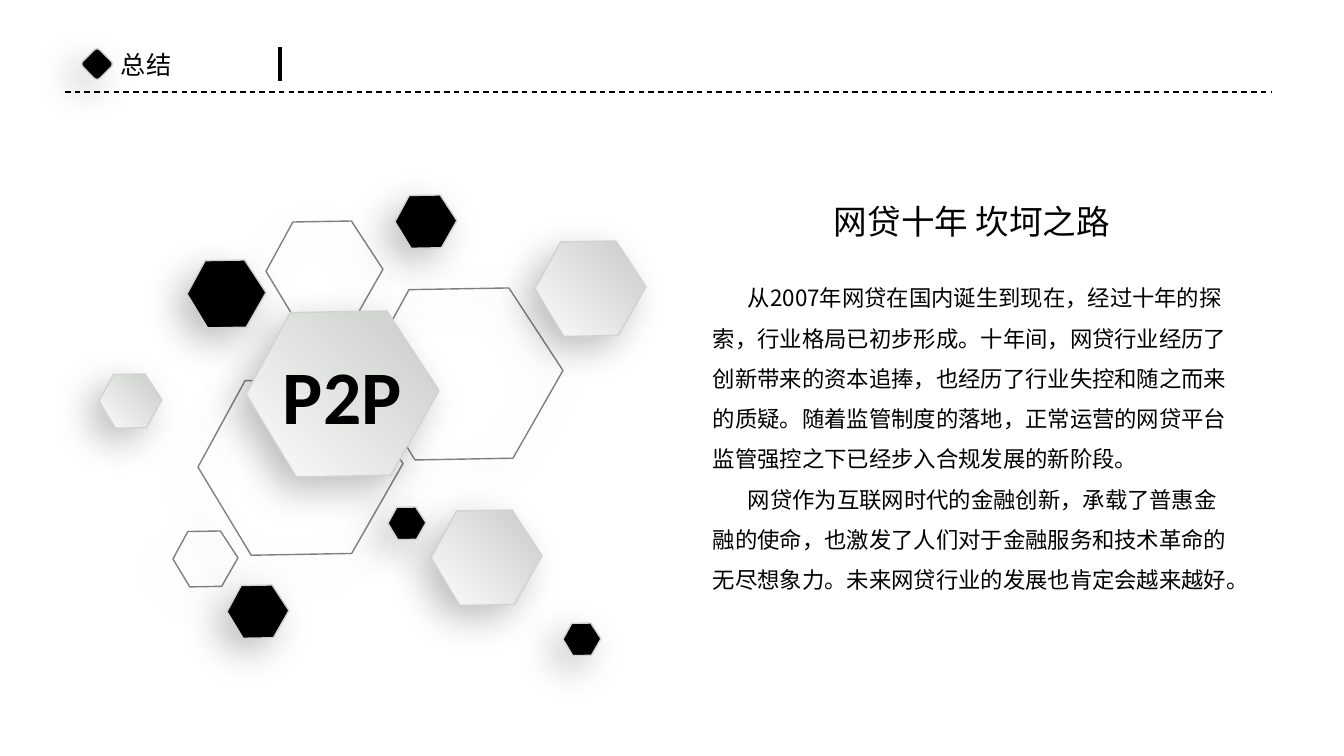
"""Build a summary slide: a hexagon cluster beside a text on ten years of online lending."""
import dataclasses

import pptx
import pptx.dml.color
import pptx.enum.dml
import pptx.enum.shapes
import pptx.enum.text
import pptx.oxml
import pptx.oxml.ns
import pptx.util

SECTION = "总结"
HEADLINE = "网贷十年 坎坷之路"
STORY = [
    "从2007年网贷在国内诞生到现在，经过十年的探索，行业格局已初步形成。十年间，网贷行业经历了创新带来的资本追捧，"
    "也经历了行业失控和随之而来的质疑。随着监管制度的落地，正常运营的网贷平台监管强控之下已经步入合规发展的新阶段。",
    "网贷作为互联网时代的金融创新，承载了普惠金融的使命，也激发了人们对于金融服务和技术革命的无尽想象力。"
    "未来网贷行业的发展也肯定会越来越好。",
]
CORE_WORD = "P2P"

HEXAGONS = {
    "outline": [(266, 221, 117), (198, 379, 205), (363, 288, 200), (173, 531, 65)],
    "silver": [(246, 311, 193), (431, 510, 111), (535, 241, 111), (99, 374, 63)],
    "black": [(187, 260, 79), (395, 195, 62), (388, 507, 38), (563, 623, 38), (227, 585, 62)],
}
HEXAGON_RATIO = 0.86
HEXAGON_CORNERS = [(0.73, 0), (1, 0.48), (0.75, 0.99), (0.26, 1), (0, 0.5), (0.23, 0.01)]


@dataclasses.dataclass(frozen=True)
class Theme:
    ink: str = "000000"
    edge: str = "CFD4D0"
    outline: str = "808080"
    silver_dark: str = "C9CBC8"
    silver_light: str = "FCFCFC"
    font: str = "Noto Sans CJK SC"
    core_font: str = "Calibri"
    section_size: int = 18
    headline_size: int = 24
    story_size: int = 16
    core_size: int = 54


THEME = Theme()
EMU_PER_PX = 914400 / 100.8


def px(length):
    return pptx.util.Emu(round(length * EMU_PER_PX))


def rgb(value):
    return pptx.dml.color.RGBColor.from_string(value)


def place(shape, left, top, width, height):
    shape.left, shape.top, shape.width, shape.height = map(px, (left, top, width, height))
    return shape


def write(shape, text, *, size, font=THEME.font, bold=False, align="LEFT", spacing=1,
          indent=0, inset=(0, 0), wrap=True):
    frame = shape.text_frame
    frame.word_wrap = wrap
    frame.auto_size = pptx.enum.text.MSO_AUTO_SIZE.NONE
    frame.vertical_anchor = pptx.enum.text.MSO_ANCHOR.TOP
    frame.margin_left = frame.margin_right = px(inset[0])
    frame.margin_top = frame.margin_bottom = px(inset[1])
    frame.text = text
    for paragraph in frame.paragraphs:
        paragraph.alignment = getattr(pptx.enum.text.PP_ALIGN, align)
        paragraph.line_spacing = spacing
        paragraph.space_before = paragraph.space_after = pptx.util.Pt(0)
        properties = paragraph._p.get_or_add_pPr()
        properties.set("marL", "0")
        properties.set("indent", str(px(indent)))
        pptx.oxml.ns.qn("a:buNone")
        properties.append(properties.makeelement(pptx.oxml.ns.qn("a:buNone"), {}))
        for run in paragraph.runs:
            run.font.name = font
            run.font.size = pptx.util.Pt(size)
            run.font.bold = bold
            run.font.color.rgb = rgb(THEME.ink)
            latin = run.font._element.find(pptx.oxml.ns.qn("a:latin"))
            latin.addnext(latin.makeelement(pptx.oxml.ns.qn("a:ea"), {"typeface": font}))


def add_shadow(shape):
    shape.shadow.inherit = False
    effects = shape._element.spPr.find(pptx.oxml.ns.qn("a:effectLst"))
    effects.append(pptx.oxml.parse_xml(
        f'<a:outerShdw {pptx.oxml.ns.nsdecls("a")} blurRad="{pptx.util.Pt(27)}"'
        f' dist="{pptx.util.Pt(12)}" dir="{135 * 60000}" algn="tr" rotWithShape="0">'
        f'<a:srgbClr val="{THEME.ink}"><a:alpha val="26000"/></a:srgbClr></a:outerShdw>'))


def paint(shape, style):
    if style == "outline":
        shape.fill.background()
    elif style == "silver":
        shape.fill.gradient()
        shape.fill.gradient_angle = 225
        for stop, tone in zip(shape.fill.gradient_stops, (THEME.silver_dark, THEME.silver_light)):
            stop.color.rgb = rgb(tone)
            stop.position = float(tone == THEME.silver_light)
    else:
        shape.fill.solid()
        shape.fill.fore_color.rgb = rgb(THEME.ink)
    shape.line.color.rgb = rgb(THEME.outline if style == "outline" else THEME.edge)
    shape.line.width = pptx.util.Pt(1)
    add_shadow(shape)


def add_hexagon(slide, left, top, width, style):
    corners = [(px(left + x * width), px(top + y * width * HEXAGON_RATIO))
               for x, y in HEXAGON_CORNERS]
    builder = slide.shapes.build_freeform(*corners[0], scale=1.0)
    builder.add_line_segments(corners[1:], close=True)
    paint(builder.convert_to_shape(), style)


def add_rule(slide, start, end, width, dash=None):
    rule = slide.shapes.add_connector(
        pptx.enum.shapes.MSO_CONNECTOR.STRAIGHT, *map(px, start + end))
    rule.line.color.rgb = rgb(THEME.ink)
    rule.line.width = pptx.util.Pt(width)
    rule.line.dash_style = dash
    properties = rule._element.spPr
    properties.append(properties.makeelement(pptx.oxml.ns.qn("a:effectLst"), {}))


def add_text(slide, box, text, **text_format):
    write(slide.shapes.add_textbox(*map(px, box)), text, **text_format)


def main():
    deck = pptx.Presentation()
    deck.slide_width, deck.slide_height = px(1344), px(756)
    slide = deck.slides.add_slide(deck.slide_layouts[1])
    section, story = slide.placeholders

    add_rule(slide, (65, 92), (1272, 92), 1, pptx.enum.dml.MSO_LINE.DASH)
    add_rule(slide, (280, 47), (280, 81), 2.25)
    marker = slide.shapes.add_shape(
        pptx.enum.shapes.MSO_SHAPE.ROUNDED_RECTANGLE, *map(px, (85, 52, 24, 24)))
    marker.rotation = 315
    paint(marker, "black")
    write(place(section, 121, 49, 222, 30), SECTION, size=THEME.section_size)

    for style, hexagons in HEXAGONS.items():
        for left, top, width in hexagons:
            add_hexagon(slide, left, top, width, style)
    add_text(slide, (273, 344, 139, 102), CORE_WORD, size=THEME.core_size,
             font=THEME.core_font, bold=True, inset=(10, 5), wrap=False)

    add_text(slide, (713, 196, 518, 50), HEADLINE, size=THEME.headline_size,
             align="CENTER", inset=(10, 5))
    write(place(story, 713, 271, 517, 408), "\n".join(STORY), size=THEME.story_size,
          spacing=1.5, indent=35)
    deck.save("out.pptx")


if __name__ == "__main__":
    main()
